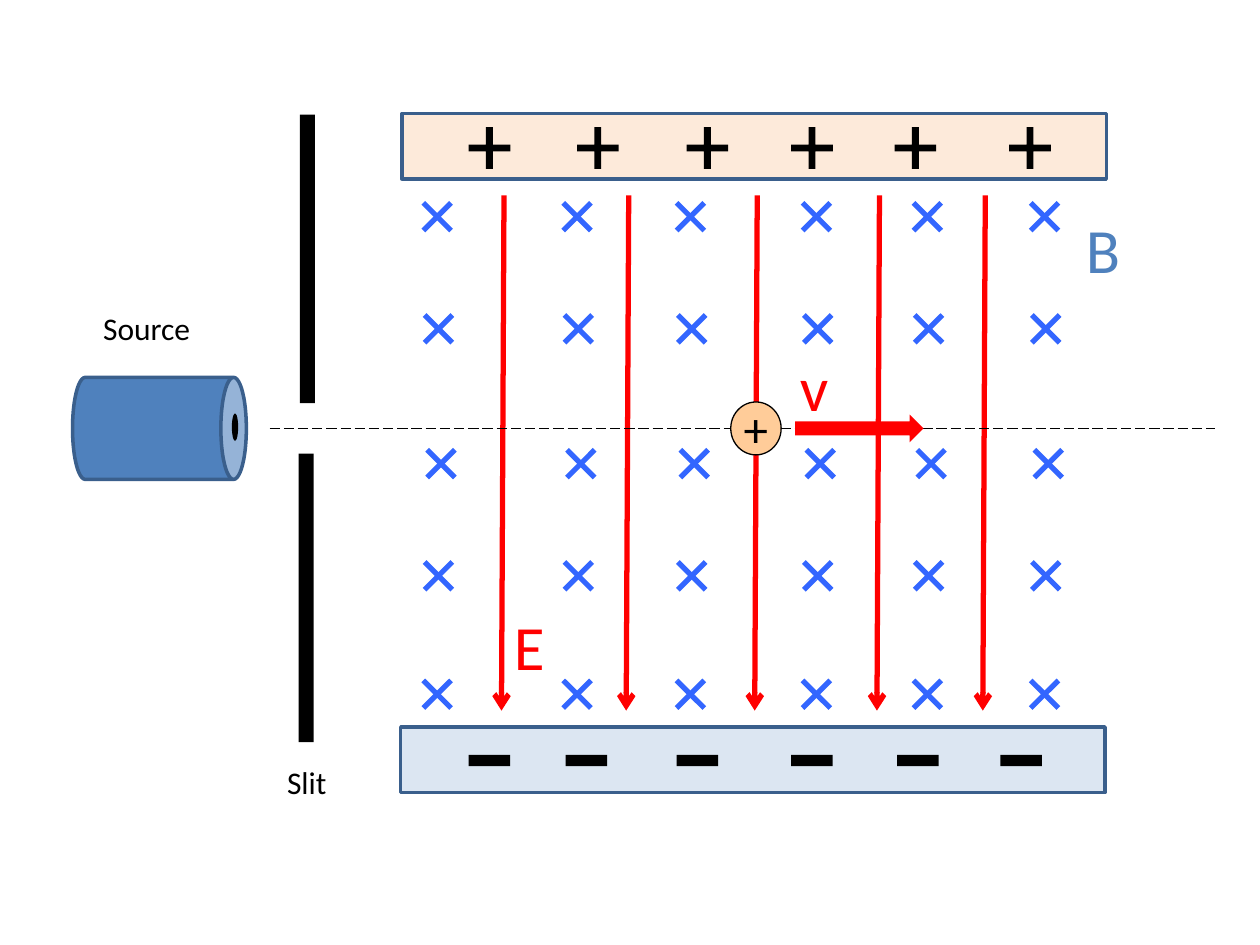
from pptx import Presentation
from pptx.dml.color import RGBColor
from pptx.enum.dml import MSO_LINE
from pptx.enum.shapes import MSO_CONNECTOR, MSO_SHAPE
from pptx.enum.text import MSO_ANCHOR, MSO_AUTO_SIZE, PP_ALIGN
from pptx.oxml.ns import qn
from pptx.util import Inches, Pt
from lxml import etree

RECT, OVAL, PLUS = MSO_SHAPE.RECTANGLE, MSO_SHAPE.OVAL, MSO_SHAPE.CROSS
CAN, ARROW = MSO_SHAPE.CAN, MSO_SHAPE.RIGHT_ARROW
STRAIGHT, DASH = MSO_CONNECTOR.STRAIGHT, MSO_LINE.LONG_DASH
MIDDLE, LEFT, CENTER = MSO_ANCHOR.MIDDLE, PP_ALIGN.LEFT, PP_ALIGN.CENTER
GROW = MSO_AUTO_SIZE.SHAPE_TO_FIT_TEXT

THEME = {
    "font": "Calibri", "label": 18, "charge": 28, "symbol": 36,
    "ink": "000000", "field": "FF0000", "magnet": "3366FF",
    "blue": "4F81BD", "edge": "3A5F8C", "ion": "FFCC99",
    "warm": "FDEADA", "cool": "DCE6F2",
    "thin": 0.75, "rim": 2, "thick": 3,
}

CROSS_COLS = [3.36, 4.47, 5.37, 6.37, 7.25, 8.18]
CROSS_ROWS = [(1.61, 0), (2.5, 0.01), (3.57, 0.03), (4.46, 0.01), (5.4, 0)]
CROSS_SIZE = 0.22
PLATES = [(3.19, 0.9, "warm"), (3.18, 5.77, "cool")]
FIELD_LINES = [4, 4.99, 6.01, 6.98, 7.82]
FIELD_TOP, FIELD_END, FIELD_LEAN = 1.55, 5.64, 0.02
PLUSES = [3.72, 4.58, 5.45, 6.28, 7.1, 8.01]
MINUSES = [3.72, 4.49, 5.37, 6.28, 7.12, 7.94]
SLITS = [(2.38, 0.91), (2.37, 3.6)]
LABELS = [
    ("Source", (0.72, 2.4, 0.9, 0.4), "label", "ink", False),
    ("Slit", (2.18, 6.01, 0.52, 0.4), "label", "ink", False),
    ("B", (8.52, 1.62, 0.57, 0.71), "symbol", "blue", True),
    ("E", (3.98, 4.77, 0.57, 0.71), "symbol", "field", True),
    ("v", (6.25, 2.72, 0.57, 0.71), "symbol", "field", True),
]


def tint(name):
    return RGBColor.from_string(THEME[name])


def write(shape, text, size="label", color="ink", align=LEFT, wrap=False):
    frame = shape.text_frame
    frame.word_wrap = wrap
    para = frame.paragraphs[0]
    para.alignment = align
    run = para.add_run()
    run.text = text
    run.font.name = THEME["font"]
    run.font.size = Pt(THEME[size])
    run.font.color.rgb = tint(color)
    return frame


def draw(shapes, kind, box, fill, edge=None, width="rim"):
    shape = shapes.add_shape(kind, *map(Inches, box))
    shape.shadow.inherit = False
    shape.fill.solid()
    shape.fill.fore_color.rgb = tint(fill)
    if edge:
        shape.line.color.rgb = tint(edge)
        shape.line.width = Pt(THEME[width])
    else:
        shape.line.fill.background()
    return shape


def link(shapes, start, end, color, width, dash=None, head=False):
    wire = shapes.add_connector(STRAIGHT, *map(Inches, (*start, *end)))
    wire.line.color.rgb = tint(color)
    wire.line.width = Pt(THEME[width])
    if dash:
        wire.line.dash_style = dash
    props = wire._element.spPr
    if head:
        etree.SubElement(props.find(qn("a:ln")), qn("a:tailEnd"), type="arrow")
    etree.SubElement(props, qn("a:effectLst"))


def main():
    deck = Presentation()
    deck.slide_width, deck.slide_height = Inches(10), Inches(7.5)
    shapes = deck.slides.add_slide(deck.slide_layouts[6]).shapes

    grid = shapes.add_group_shape().shapes
    for top, shift in CROSS_ROWS:
        for col in CROSS_COLS:
            left, low = col + shift, top + CROSS_SIZE
            right = left + CROSS_SIZE
            link(grid, (left, top), (right, low), "magnet", "thick")
            link(grid, (right, top), (left, low), "magnet", "thick")

    for left, top, fill in PLATES:
        draw(shapes, RECT, (left, top, 5.59, 0.52), fill, "edge")
    for x in FIELD_LINES:
        link(shapes, (x, FIELD_TOP), (x - FIELD_LEAN, FIELD_END),
             "field", "thick", head=True)
    for x in PLUSES:
        plus = draw(shapes, PLUS, (x, 1.01, 0.33, 0.33), "ink")
        plus.adjustments[0] = 0.417
    for x in MINUSES:
        draw(shapes, RECT, (x, 5.99, 0.33, 0.09), "ink")

    source = draw(shapes, CAN, (0.86, 2.71, 0.81, 1.38), "blue", "edge")
    source.rotation = 90
    for left, top in SLITS:
        draw(shapes, RECT, (left, top, 0.12, 2.29), "ink")
    link(shapes, (2.14, 3.4), (9.64, 3.4), "ink", "thin", dash=DASH)
    draw(shapes, OVAL, (1.84, 3.28, 0.05, 0.22), "ink")

    ion = draw(shapes, OVAL, (5.8, 3.19, 0.4, 0.42), "ion", "ink", "thin")
    write(ion, "+", size="charge", align=CENTER).vertical_anchor = MIDDLE
    draw(shapes, ARROW, (6.31, 3.29, 1.02, 0.22), "field")
    for text, box, size, color, wrap in LABELS:
        label = shapes.add_textbox(*map(Inches, box))
        write(label, text, size=size, color=color, wrap=wrap).auto_size = GROW

    deck.save("out.pptx")


if __name__ == "__main__":
    main()
